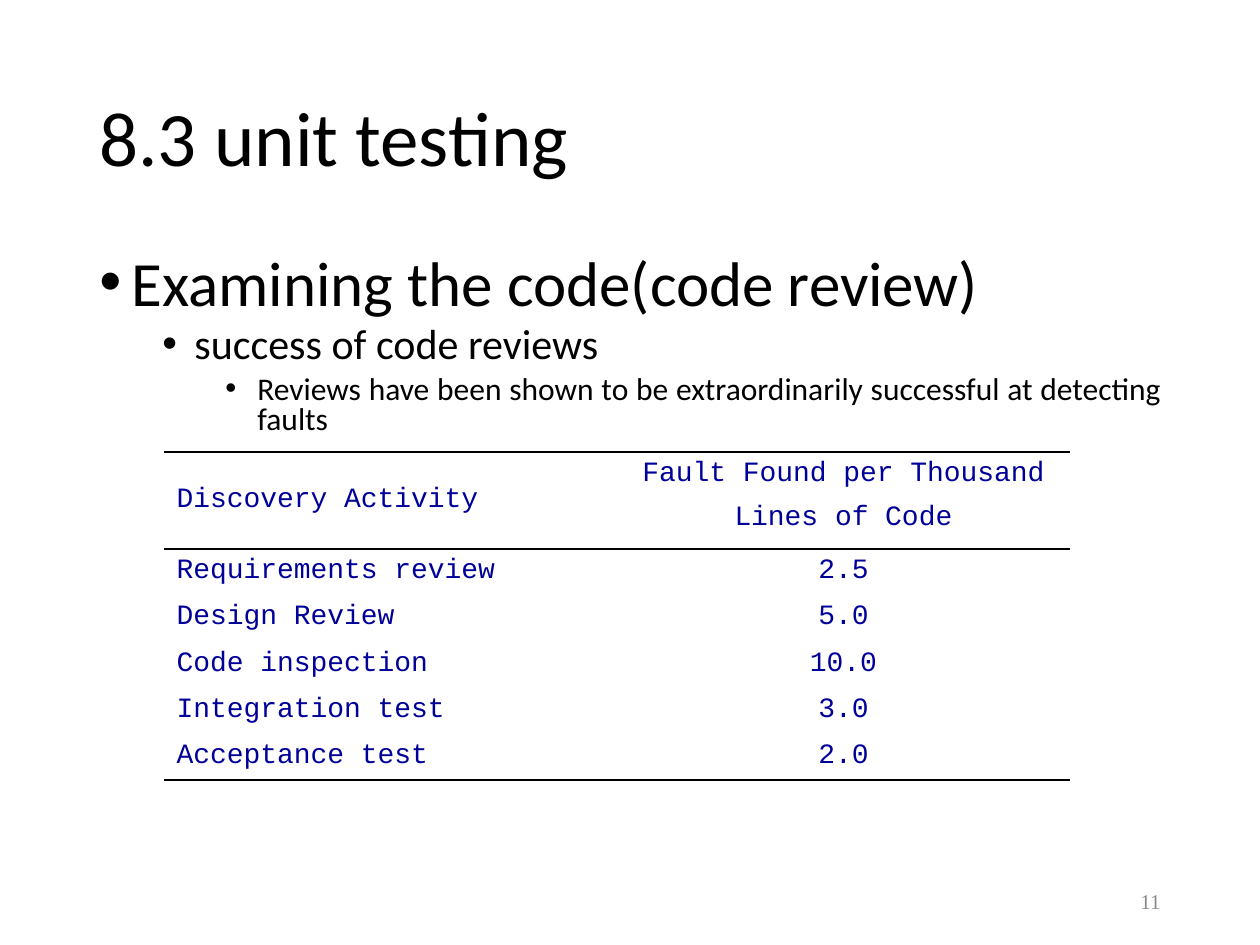
from typing import NamedTuple

import pptx
import pptx.dml.color
import pptx.enum.text
import pptx.oxml
import pptx.oxml.ns
import pptx.util

PX = 914400 / 126
COLORS = {"text": "000000", "table": "000099", "number": "898989"}
ALIGN = pptx.enum.text.PP_ALIGN
ANCHOR = pptx.enum.text.MSO_ANCHOR
BULLET_INDENT = 32
HEADER_HEIGHT, ROW_HEIGHT = 97, 46
TABLE_LEFT, TABLE_TOP, COLUMN_WIDTH = 164, 452, 453
RULE_WIDTH = 1.08


class Line(NamedTuple):
    text: str
    size: int
    font: str = "Calibri"
    color: str = "text"
    align: ALIGN = ALIGN.LEFT
    spacing: float = 1.0
    before: int = 0
    bullet_left: int = 0


class TextBox(NamedTuple):
    left: int
    top: int
    width: int
    height: int
    anchor: ANCHOR
    lines: list[Line]


BOXES = [
    TextBox(87, 50, 1087, 183, ANCHOR.MIDDLE, [Line("8.3 unit testing", 44, spacing=0.9)]),
    TextBox(87, 252, 1087, 600, ANCHOR.TOP, [
        Line("Examining the code(code review)", 36, align=ALIGN.JUSTIFY,
             spacing=0.8, bullet_left=32),
        Line("success of code reviews", 24, align=ALIGN.JUSTIFY,
             spacing=0.8, before=5, bullet_left=95),
        Line("Reviews have been shown to be extraordinarily successful at detecting faults",
             18, align=ALIGN.JUSTIFY, spacing=0.8, before=5, bullet_left=158),
    ]),
    TextBox(890, 876, 283, 50, ANCHOR.MIDDLE,
            [Line("11", 12, "Times New Roman", "number", ALIGN.RIGHT)]),
]

FAULT_ROWS = [
    ("Discovery Activity", "Fault Found per Thousand\nLines of Code"),
    ("Requirements review", "2.5"),
    ("Design Review", "5.0"),
    ("Code inspection", "10.0"),
    ("Integration test", "3.0"),
    ("Acceptance test", "2.0"),
]


def px(value: int) -> int:
    return round(value * PX)


def write_lines(frame, lines: list[Line]) -> None:
    frame.text = "\n".join(line.text for line in lines)
    for para, line in zip(frame.paragraphs, lines):
        para.alignment = line.align
        para.line_spacing = line.spacing
        if line.before:
            para.space_before = pptx.util.Pt(line.before)
        if line.bullet_left:
            properties = para._p.get_or_add_pPr()
            properties.set("marL", str(px(line.bullet_left)))
            properties.set("indent", str(-px(BULLET_INDENT)))
            properties.append(pptx.oxml.parse_xml(
                f'<a:buFont {pptx.oxml.ns.nsdecls("a")} typeface="Arial"/>'))
            properties.append(pptx.oxml.parse_xml(
                f'<a:buChar {pptx.oxml.ns.nsdecls("a")} char="•"/>'))
        for span in para.runs:
            span.font.size = pptx.util.Pt(line.size)
            span.font.name = line.font
            span.font.color.rgb = pptx.dml.color.RGBColor.from_string(COLORS[line.color])


def add_text_box(page, item: TextBox) -> None:
    box = page.shapes.add_textbox(
        px(item.left), px(item.top), px(item.width), px(item.height))
    frame = box.text_frame
    frame.word_wrap = True
    frame.vertical_anchor = item.anchor
    write_lines(frame, item.lines)


def set_borders(cell, ruled_sides: set[str]) -> None:
    """Draw a rule on the named sides (L, R, T, B) and clear the others."""
    for side in "LRTB":
        fill = "<a:noFill/>"
        if side in ruled_sides:
            fill = f'<a:solidFill><a:srgbClr val="{COLORS["text"]}"/></a:solidFill>'
        cell._tc.get_or_add_tcPr().append(pptx.oxml.parse_xml(
            f'<a:ln{side} {pptx.oxml.ns.nsdecls("a")} '
            f'w="{pptx.util.Pt(RULE_WIDTH)}">{fill}</a:ln{side}>'))


def add_fault_table(page, rows: list[tuple[str, str]]) -> None:
    last = len(rows) - 1
    table = page.shapes.add_table(
        len(rows), 2, px(TABLE_LEFT), px(TABLE_TOP), px(2 * COLUMN_WIDTH),
        px(HEADER_HEIGHT + last * ROW_HEIGHT)).table
    table.first_row = table.horz_banding = False
    for column in table.columns:
        column.width = px(COLUMN_WIDTH)
    for row_index, texts in enumerate(rows):
        table.rows[row_index].height = px(ROW_HEIGHT if row_index else HEADER_HEIGHT)
        ruled_sides = {0: {"T", "B"}, 1: {"T"}, last: {"B"}}.get(row_index, set())
        for column_index, text in enumerate(texts):
            cell = table.cell(row_index, column_index)
            set_borders(cell, ruled_sides)
            cell.fill.background()
            if row_index == 0 and column_index == 0:
                cell.vertical_anchor = ANCHOR.MIDDLE
            align = ALIGN.CENTER if column_index else ALIGN.LEFT
            write_lines(cell.text_frame, [
                Line(part, 16, "Courier New", "table", align, before=7 if order else 0)
                for order, part in enumerate(text.split("\n"))])


def main() -> None:
    deck = pptx.Presentation()
    deck.slide_width, deck.slide_height = px(1260), px(945)
    page = deck.slides.add_slide(deck.slide_layouts[6])
    for item in BOXES:
        add_text_box(page, item)
    add_fault_table(page, FAULT_ROWS)
    deck.save("out.pptx")


if __name__ == "__main__":
    main()
